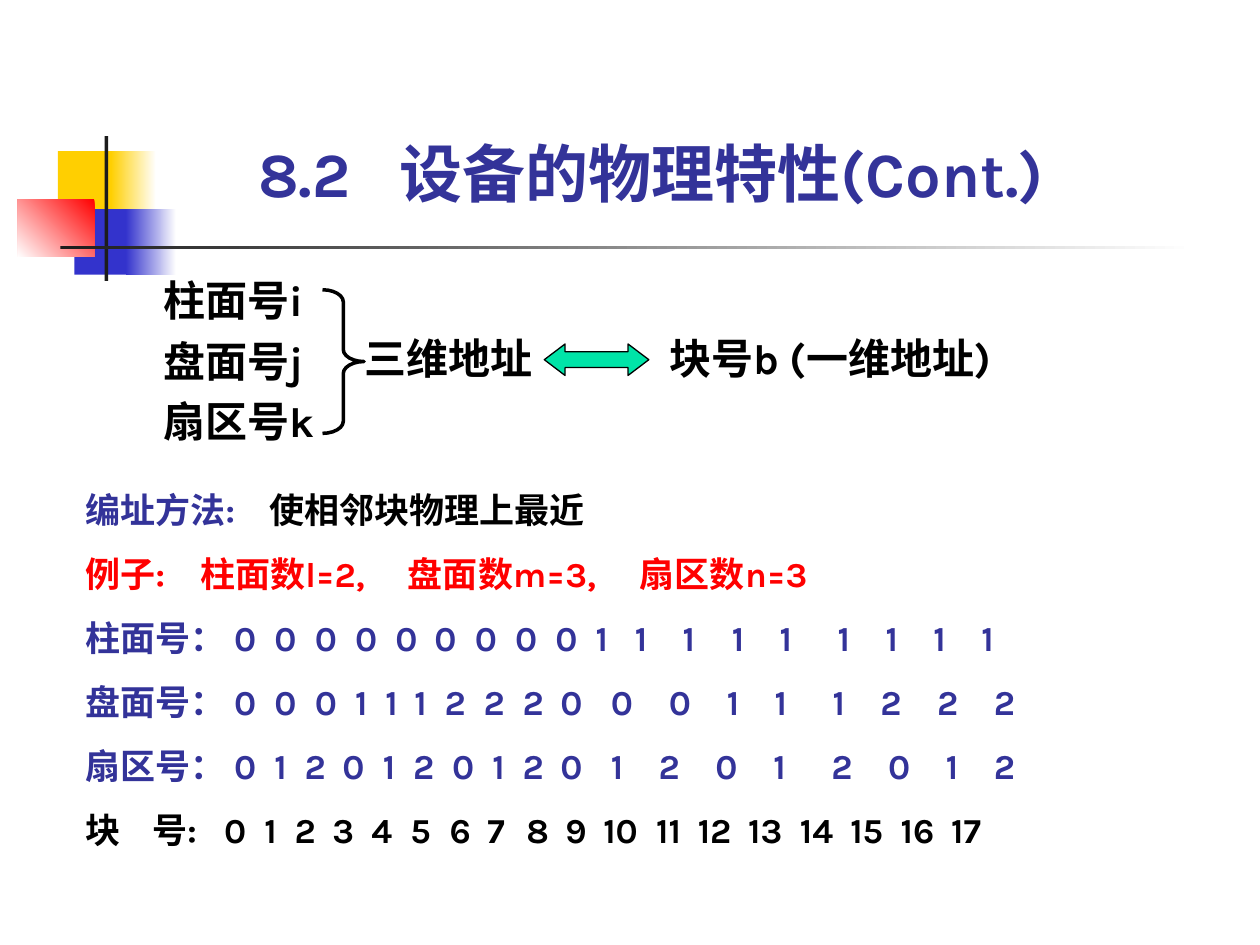
import pptx
import pptx.dml.color
import pptx.enum.shapes
import pptx.enum.text
import pptx.util
from itertools import accumulate
from lxml import etree
from pptx.util import Inches

SHAPE = pptx.enum.shapes.MSO_SHAPE
ANCHOR = pptx.enum.text.MSO_ANCHOR
INDIGO, BLACK, RED, WHITE = "333399", "000000", "FF0000", "FFFFFF"
YELLOW, BLUE, CHARCOAL = "FFCF01", "3333CC", "1C1C1C"

# Widths in inches of 20 pt bold characters, used to place the number rows
SPACE = 0.072
DIGIT_WIDTHS = {"0": 0.175, "1": 0.095}
OTHER_DIGIT = 0.163


def colour(hex_code):
    return pptx.dml.color.RGBColor.from_string(hex_code)


def number_stops(start, numbers, gaps):
    """Tab stops for numbers that are set apart by the given counts of spaces."""
    steps = [sum(DIGIT_WIDTHS.get(d, OTHER_DIGIT) for d in number) + gap * SPACE
             for number, gap in zip(numbers, gaps)]
    return [round(stop, 2) for stop in accumulate(steps, initial=start)]


class SlideBuilder:
    def __init__(self, slide, font="Karla"):
        self.slide = slide
        self.font = font

    def shape(self, kind, box, fill=None, fade=None, angle=0, line=None, adjust=()):
        """Preset shape; fade is the second colour of a gradient."""
        shape = self.slide.shapes.add_shape(kind, *map(Inches, box))
        shape.shadow.inherit = False
        for index, value in enumerate(adjust):
            shape.adjustments[index] = value
        if fade:
            shape.fill.gradient()
            shape.fill.gradient_angle = angle
            for stop, stop_colour in zip(shape.fill.gradient_stops, (fill, fade)):
                stop.color.rgb = colour(stop_colour)
        elif fill:
            shape.fill.solid()
            shape.fill.fore_color.rgb = colour(fill)
        else:
            shape.fill.background()
        if line:
            shape.line.color.rgb = colour(BLACK)
            shape.line.width = pptx.util.Pt(line)
        else:
            shape.line.fill.background()

    def text(self, box, paragraphs, size, font=None, before=0, spacing=None,
             inset=(0, 0), anchor=ANCHOR.TOP):
        """Each paragraph is a pair: its (text, colour) runs and its tab stops."""
        frame = self.slide.shapes.add_textbox(*map(Inches, box)).text_frame
        frame.word_wrap = True
        frame.vertical_anchor = anchor
        frame.margin_left = frame.margin_right = Inches(inset[0])
        frame.margin_top = frame.margin_bottom = Inches(inset[1])
        for index, (runs, stops) in enumerate(paragraphs):
            paragraph = frame.add_paragraph() if index else frame.paragraphs[0]
            if spacing:
                paragraph.line_spacing = spacing
            if index and before:
                paragraph.space_before = pptx.util.Pt(before)
            if stops:
                self.tabs(paragraph, stops)
            for words, run_colour in runs:
                run = paragraph.add_run()
                run.text = words
                run.font.size = pptx.util.Pt(size)
                run.font.name = font or self.font
                run.font.bold = True
                run.font.color.rgb = colour(run_colour)

    def tabs(self, paragraph, stops):
        namespace = pptx.oxml.ns.qn
        properties = paragraph._p.get_or_add_pPr()
        tab_list = etree.SubElement(properties, namespace("a:tabLst"))
        for stop in stops:
            etree.SubElement(tab_list, namespace("a:tab"), pos=str(Inches(stop)), algn="l")


def main():
    deck = pptx.Presentation()
    deck.slide_width, deck.slide_height = Inches(10), Inches(7.5)
    builder = SlideBuilder(deck.slides.add_slide(deck.slide_layouts[6]))

    # Corner ornament and title rule
    builder.shape(SHAPE.RECTANGLE, (0.46, 1.2, 0.48, 0.52), YELLOW)
    builder.shape(SHAPE.RECTANGLE, (0.88, 1.2, 0.36, 0.52), YELLOW, WHITE)
    builder.shape(SHAPE.RECTANGLE, (0.59, 1.66, 0.46, 0.52), BLUE)
    builder.shape(SHAPE.RECTANGLE, (1, 1.66, 0.4, 0.52), BLUE, WHITE)
    builder.shape(SHAPE.RECTANGLE, (0.14, 1.58, 0.61, 0.46), RED, WHITE, angle=225)
    builder.shape(SHAPE.RECTANGLE, (0.83, 1.08, 0.03, 1.15), CHARCOAL)
    builder.shape(SHAPE.RECTANGLE, (0.48, 1.95, 9, 0.03), CHARCOAL, WHITE)

    # Title
    builder.text((2.05, 1.07, 6.5, 0.6), [([("8.2\t设备的物理特性(Cont.)", INDIGO)], [1.12])],
                 36, anchor=ANCHOR.BOTTOM)

    # Three coordinates joined into one address, matched with the block number
    coordinates = ["柱面号i", "盘面号j", "扇区号k"]
    builder.text((1.3, 2.1, 1.42, 1.44), [([(name, BLACK)], []) for name in coordinates],
                 24, spacing=1.2)
    builder.shape(SHAPE.LEFT_RIGHT_ARROW, (4.32, 2.73, 0.83, 0.25), "00E4A8",
                  line=0.75, adjust=(0.5, 0.66))
    builder.shape(SHAPE.RIGHT_BRACE, (2.56, 2.3, 0.33, 1.14), line=2, adjust=(0.29, 0.5))
    builder.text((5.31, 2.64, 2.68, 0.8), [([("块号b (一维地址)", BLACK)], [])], 24)
    builder.text((2.89, 2.64, 1.56, 0.4), [([("三维地址", BLACK)], [])], 24,
                 font="Times New Roman")

    # Numbering method and worked example
    lines = [
        ([("编址方法:\t", INDIGO), ("使相邻块物理上最近", BLACK)], [1.46]),
        ([("例子:\t柱面数l=2,\t盘面数m=3,\t扇区数n=3", RED)], [0.91, 2.56, 4.4]),
    ]
    cylinders, surfaces, sectors = 2, 3, 3
    blocks = range(cylinders * surfaces * sectors)
    address_rows = {
        "柱面号：": [str(b // (surfaces * sectors)) for b in blocks],
        "盘面号：": [str(b // sectors % surfaces) for b in blocks],
        "扇区号：": [str(b % sectors) for b in blocks],
    }
    address_gaps = [2] * 9 + [3, 4, 4, 4, 5, 4, 4, 4]
    for label, numbers in address_rows.items():
        lines.append(([("\t".join([label, *numbers]), INDIGO)],
                      number_stops(1.18, numbers, address_gaps)))
    block_numbers = [str(b) for b in blocks]
    lines.append(([("\t".join(["块", "号:", *block_numbers]), BLACK)],
                  [0.53] + number_stops(1.1, block_numbers, [2] * (len(blocks) - 1))))
    builder.text((0.58, 3.83, 9.17, 2.97), lines, 20, before=12.5, inset=(0.1, 0.05))

    deck.save("out.pptx")


if __name__ == "__main__":
    main()
